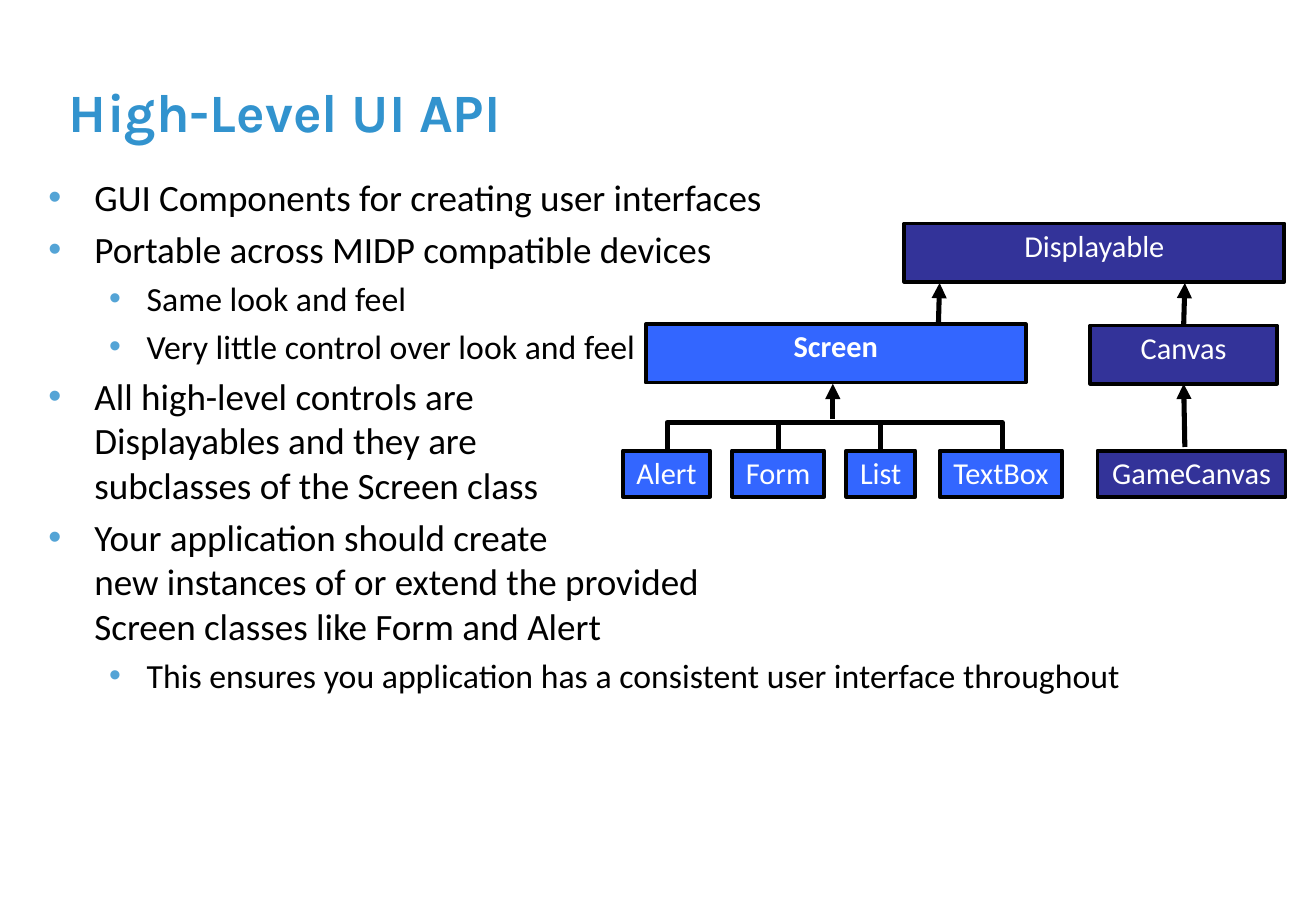
from dataclasses import dataclass

from lxml.etree import SubElement
from pptx import Presentation
from pptx.dml.color import RGBColor
from pptx.enum.shapes import MSO_CONNECTOR, MSO_SHAPE
from pptx.enum.text import MSO_ANCHOR, MSO_AUTO_SIZE, PP_ALIGN
from pptx.oxml.ns import qn
from pptx.shapes.autoshape import Shape
from pptx.shapes.connector import Connector
from pptx.slide import Slide
from pptx.text.text import TextFrame, _Paragraph
from pptx.util import Emu, Pt

BLACK = RGBColor(0x00, 0x00, 0x00)
WHITE = RGBColor(0xFF, 0xFF, 0xFF)
TITLE_BLUE = RGBColor(0x32, 0x93, 0xCE)
BULLET_BLUE = RGBColor(0x54, 0xA4, 0xD6)
NAVY = RGBColor(0x33, 0x33, 0x99)
BLUE = RGBColor(0x33, 0x66, 0xFF)
EMU_PER_PX = 9144
TOP, BOTTOM = 0, 2
BRACKET_RISE = 24


@dataclass(frozen=True)
class Point:
    text: str
    level: int = 0


@dataclass(frozen=True)
class ClassBox:
    name: str
    left: int
    top: int
    width: int
    height: int
    fill: RGBColor
    bold: bool = False
    grows: bool = False


@dataclass(frozen=True)
class Arrow:
    start: tuple[int, int]
    end: tuple[int, int]
    child: str | None = None
    parent: str | None = None


@dataclass(frozen=True)
class Bracket:
    left: int
    right: int
    bottom: int


@dataclass(frozen=True)
class LevelStyle:
    size: int
    margin: int
    hanging: int


LEVELS = (LevelStyle(22, 38, 38), LevelStyle(20, 81, 31))

POINTS = (
    Point("GUI Components for creating user interfaces"),
    Point("Portable across MIDP compatible devices"),
    Point("Same look and feel", 1),
    Point("Very little control over look and feel", 1),
    Point("All high-level controls are \nDisplayables and they are \nsubclasses of the Screen class"),
    Point("Your application should create\nnew instances of or extend the provided\nScreen classes like Form and Alert"),
    Point("This ensures you application has a consistent user interface throughout", 1),
)

CLASSES = (
    ClassBox("Displayable", 745, 184, 313, 48, NAVY),
    ClassBox("Screen", 532, 267, 313, 48, BLUE, bold=True),
    ClassBox("Canvas", 898, 268, 154, 48, NAVY),
    ClassBox("Alert", 513, 371, 72, 38, BLUE, grows=True),
    ClassBox("Form", 603, 371, 76, 38, BLUE, grows=True),
    ClassBox("List", 697, 371, 57, 38, BLUE, grows=True),
    ClassBox("TextBox", 774, 371, 101, 38, BLUE, grows=True),
    ClassBox("GameCanvas", 904, 371, 155, 38, NAVY, grows=True),
)

ARROWS = (
    Arrow((773, 267), (774, 233)),
    Arrow((975, 268), (976, 233), child="Canvas"),
    Arrow((686, 345), (686, 316)),
    Arrow((976, 368), (975, 316), parent="Canvas"),
)

BRACKETS = (Bracket(549, 825, 371), Bracket(641, 725, 371))


def px(length: int) -> Emu:
    return Emu(length * EMU_PER_PX)


def add_run(paragraph: _Paragraph, text: str, font: str, size: int,
            color: RGBColor, bold: bool = False) -> None:
    run = paragraph.add_run()
    run.text = text
    run.font.name = font
    run.font.size = Pt(size)
    run.font.color.rgb = color
    run.font.bold = bold


def add_text_frame(slide: Slide, left: int, top: int, width: int, height: int) -> TextFrame:
    frame = slide.shapes.add_textbox(px(left), px(top), px(width), px(height)).text_frame
    frame.word_wrap = True
    return frame


def add_title(slide: Slide) -> None:
    frame = add_text_frame(slide, 47, 30, 990, 93)
    frame.vertical_anchor = MSO_ANCHOR.BOTTOM
    add_run(frame.paragraphs[0], "High-Level UI API", "Karla", 32, TITLE_BLUE, bold=True)


def add_point(paragraph: _Paragraph, point: Point) -> None:
    style = LEVELS[point.level]
    paragraph.level = point.level
    paragraph.space_before = Pt(style.size * 0.2)
    properties = paragraph._p.get_or_add_pPr()
    properties.set("marL", str(px(style.margin)))
    properties.set("indent", str(-px(style.hanging)))
    bullet_color = SubElement(properties, qn("a:buClr"))
    SubElement(bullet_color, qn("a:srgbClr"), val=str(BULLET_BLUE))
    SubElement(properties, qn("a:buFont"), typeface="Arial")
    SubElement(properties, qn("a:buChar"), char="•")
    for number, line in enumerate(point.text.split("\n")):
        if number:
            paragraph.add_line_break()
        add_run(paragraph, line, "Calibri", style.size, BLACK)


def add_points(slide: Slide) -> None:
    frame = add_text_frame(slide, 30, 139, 1024, 488)
    for number, point in enumerate(POINTS):
        add_point(frame.add_paragraph() if number else frame.paragraphs[0], point)


def add_class(slide: Slide, box: ClassBox) -> Shape:
    shape = slide.shapes.add_shape(
        MSO_SHAPE.RECTANGLE, px(box.left), px(box.top), px(box.width), px(box.height))
    shape.shadow.inherit = False
    shape.fill.solid()
    shape.fill.fore_color.rgb = box.fill
    shape.line.color.rgb = BLACK
    shape.line.width = Pt(2.25)
    frame = shape.text_frame
    frame.margin_left = frame.margin_right = px(11)
    frame.margin_top = frame.margin_bottom = px(6)
    frame.vertical_anchor = MSO_ANCHOR.TOP
    frame.word_wrap = False
    frame.auto_size = MSO_AUTO_SIZE.SHAPE_TO_FIT_TEXT if box.grows else MSO_AUTO_SIZE.NONE
    label = frame.paragraphs[0]
    label.alignment = PP_ALIGN.CENTER
    label.line_spacing = 0.9
    add_run(label, box.name, "Calibri", 18, WHITE, box.bold)
    return shape


def add_line(slide: Slide, kind: MSO_CONNECTOR, start: tuple[int, int],
             end: tuple[int, int]) -> Connector:
    line = slide.shapes.add_connector(kind, *map(px, start + end))
    line.line.color.rgb = BLACK
    line.line.width = Pt(3)
    SubElement(line.element.spPr, qn("a:effectLst"))
    return line


def add_arrow(slide: Slide, arrow: Arrow, classes: dict[str, Shape]) -> None:
    line = add_line(slide, MSO_CONNECTOR.STRAIGHT, arrow.start, arrow.end)
    SubElement(line.line._get_or_add_ln(), qn("a:tailEnd"), type="triangle")
    if arrow.child:
        line.begin_connect(classes[arrow.child], TOP)
    if arrow.parent:
        line.end_connect(classes[arrow.parent], BOTTOM)


def add_bracket(slide: Slide, bracket: Bracket) -> None:
    span = bracket.right - bracket.left
    middle = bracket.left + span // 2
    top = bracket.bottom - span // 2
    line = add_line(slide, MSO_CONNECTOR.ELBOW, (middle, top), (middle + 1, top + span))
    transform = line.element.spPr.find(qn("a:xfrm"))
    for key, value in (("rot", "5400000"), ("flipH", "1"), ("flipV", "1")):
        transform.set(key, value)
    adjustments = line.element.spPr.find(qn("a:prstGeom")).find(qn("a:avLst"))
    SubElement(adjustments, qn("a:gd"), name="adj1", fmla=f"val {BRACKET_RISE * 100000}")


def main() -> None:
    presentation = Presentation()
    presentation.slide_width = px(1084)
    presentation.slide_height = px(750)
    slide = presentation.slides.add_slide(presentation.slide_layouts[6])
    add_title(slide)
    add_points(slide)
    classes = {box.name: add_class(slide, box) for box in CLASSES}
    for bracket in BRACKETS:
        add_bracket(slide, bracket)
    for arrow in ARROWS:
        add_arrow(slide, arrow, classes)
    presentation.save("out.pptx")


if __name__ == "__main__":
    main()
